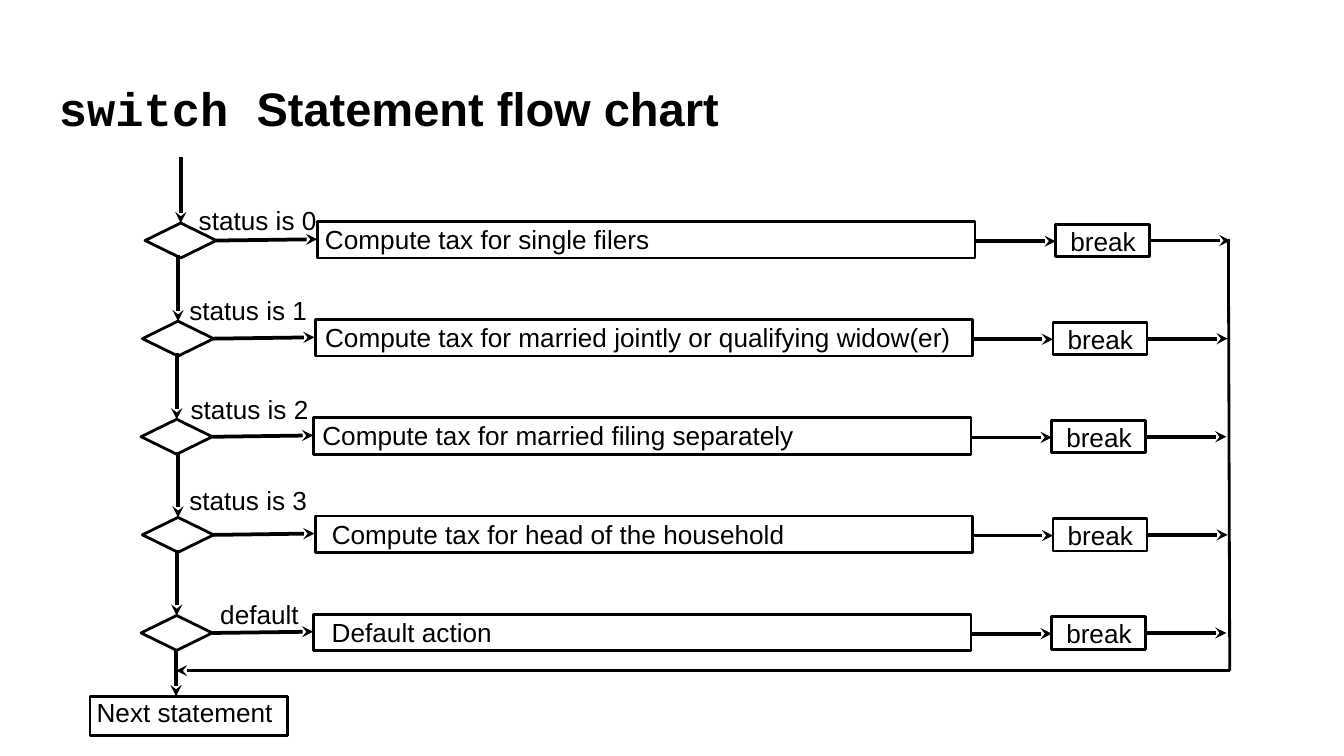
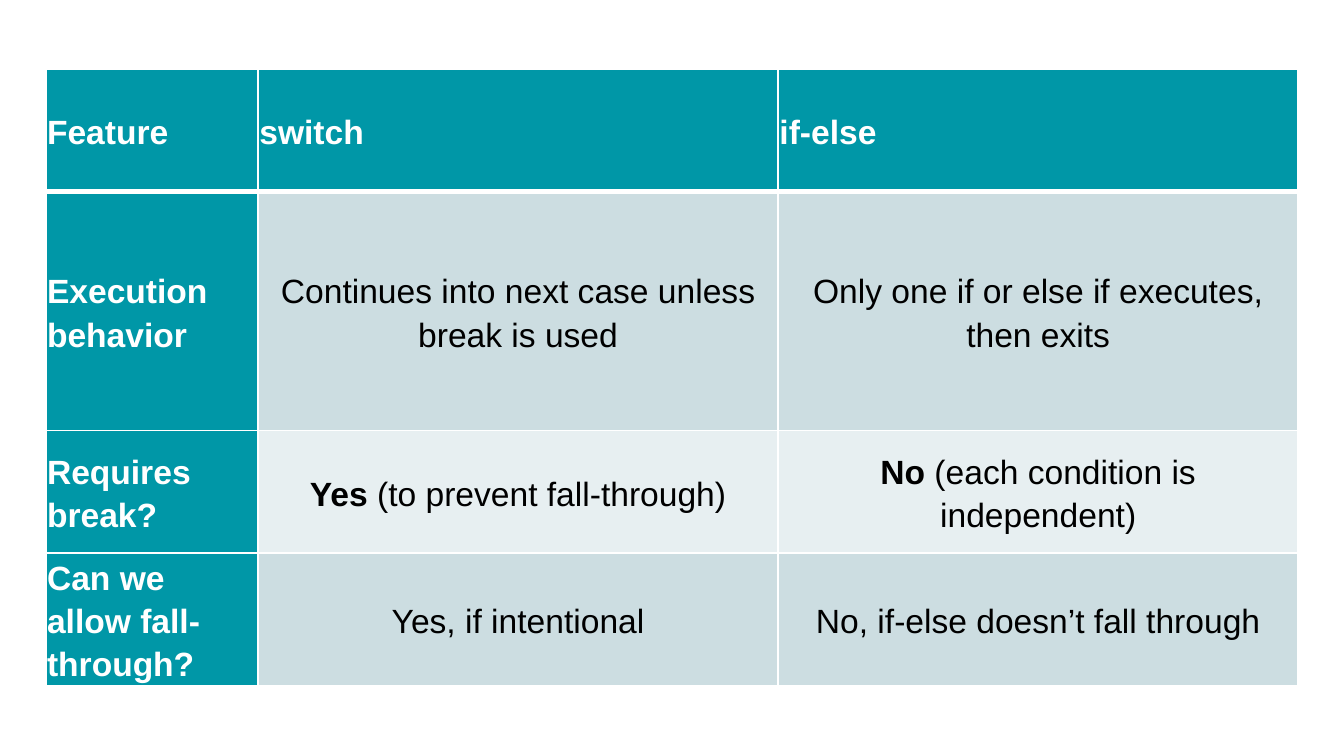
from dataclasses import dataclass

from lxml.etree import SubElement
from pptx import Presentation
from pptx.dml.color import RGBColor
from pptx.enum.shapes import MSO_CONNECTOR as Link, MSO_SHAPE as Preset
from pptx.enum.text import MSO_ANCHOR as Anchor, MSO_AUTO_SIZE as AutoSize, PP_ALIGN as Align
from pptx.oxml.ns import qn
from pptx.util import Inches, Pt

SLIDE_W = Inches(10)
SLIDE_H = SLIDE_W * 9 // 16
COL, ROW = SLIDE_W / 100, SLIDE_H / 56.25

COLORS = {
    "ink": "000000",
    "paper": "FFFFFF",
    "teal": "0097A7",
    "band_dark": "CCDDE1",
    "band_light": "E7EFF1",
}
SANS, MONO = "Arial", "Courier New"


@dataclass
class Box:
    """An area of the slide, in grid columns and rows."""
    col: float
    row: float
    cols: float
    rows: float

    def inner(self, col, row, cols=0, rows=0):
        return Box(self.col + col, self.row + row, cols, rows)

    def point(self, col, row):
        return round((self.col + col) * COL), round((self.row + row) * ROW)

    def frame(self):
        return (*self.point(0, 0), round(self.cols * COL), round(self.rows * ROW))


@dataclass
class Branch:
    """One case of the switch; label and action columns count from its left edge."""
    left: float
    label: str
    label_at: tuple
    label_cols: float
    action: str
    action_col: float
    action_cols: float


BRANCHES = [
    Branch(4.8, "status is 0", (3.0, -1.9), 10.8,
           "Compute tax for single filers", 12.4, 26.3),
    Branch(4.6, "status is 1", (2.5, -2.45), 10.8,
           "Compute tax for married jointly or qualifying widow(er)", 12.6, 48.8),
    Branch(4.5, "status is 2", (2.7, -2.45), 10.8,
           "Compute tax for married filing separately", 12.5, 37.3),
    Branch(4.6, "status is 3", (2.5, -2.95), 10.8,
           "Compute tax for head of the household", 13.1, 35.8),
    Branch(4.5, "default", (4.9, -1.75), 7.9,
           "Default action", 13.2, 14.0),
]
FIRST_BRANCH, BRANCH_PITCH = 5.6, 7.3

FEATURES = [
    ["Feature", "switch", "if-else"],
    ["Execution behavior",
     "Continues into next case unless break is used",
     "Only one if or else if executes, then exits"],
    ["Requires break?",
     [("Yes", {"bold": True}), (" (to prevent fall-through)", {})],
     [("No", {"bold": True}), (" (each condition is independent)", {})]],
    ["Can we allow fall-through?",
     "Yes, if intentional",
     "No, if-else doesn’t fall through"],
]
FEATURE_COLS = [15.8, 38.7, 38.7]
FEATURE_ROWS = [9.1, 17.8, 9.1, 9.1]


def rgb(name):
    return RGBColor.from_string(COLORS[name])


def write(text_frame, text, *, size=14, font=SANS, color="ink", bold=False,
          align=Align.LEFT, spacing=None, after=None):
    """Fill one paragraph; text is a string or (string, overrides) runs."""
    paragraph = text_frame.paragraphs[0]
    paragraph.alignment = align
    if spacing:
        paragraph.line_spacing = spacing
    if after:
        paragraph.space_after = Pt(after)
    for words, changes in [(text, {})] if isinstance(text, str) else text:
        style = {"font": font, "color": color, "bold": bold, **changes}
        run = paragraph.add_run()
        run.text = words
        run.font.size = Pt(size)
        run.font.name = style["font"]
        run.font.bold = style["bold"]
        run.font.color.rgb = rgb(style["color"])


def add_label(slide, box, text):
    text_frame = slide.shapes.add_textbox(*box.frame()).text_frame
    text_frame.word_wrap = False
    text_frame.auto_size = AutoSize.SHAPE_TO_FIT_TEXT
    write(text_frame, text)


def add_outline(slide, box, preset=Preset.FLOWCHART_PROCESS):
    outline = slide.shapes.add_shape(preset, *box.frame())
    outline.shadow.inherit = False
    outline.fill.background()
    outline.line.color.rgb = rgb("ink")
    outline.line.width = Pt(1.5)


def add_flow(slide, area, start, end, width=2, arrow=True):
    flow = slide.shapes.add_connector(
        Link.STRAIGHT, *area.point(*start), *area.point(*end))
    flow.line.color.rgb = rgb("ink")
    flow.line.width = Pt(width)
    if arrow:
        SubElement(flow.line._get_or_add_ln(), qn("a:tailEnd"), type="stealth")
    SubElement(flow._element.spPr, qn("a:effectLst"))


def add_title(slide, box, text):
    text_frame = slide.shapes.add_textbox(*box.frame()).text_frame
    text_frame.word_wrap = True
    text_frame.vertical_anchor = Anchor.MIDDLE
    text_frame.margin_top = text_frame.margin_bottom = Inches(0.1)
    write(text_frame, text, size=25.2, bold=True)


def add_branch(slide, area, branch):
    add_outline(slide, area.inner(0, 0, 5.3, 2.6), Preset.FLOWCHART_DECISION)
    add_outline(slide, area.inner(12.85, -0.1, 48.9, 2.7))
    add_outline(slide, area.inner(67.75, 0.1, 7, 2.4))
    add_flow(slide, area, (2.65, -4.9), (2.65, 0))
    add_flow(slide, area, (5.3, 1.3), (12.8, 1.2))
    add_flow(slide, area, (61.75, 1.35), (67.75, 1.35))
    add_flow(slide, area, (74.75, 1.3), (80.75, 1.3))
    add_label(slide, area.inner(*branch.label_at, branch.label_cols, 3.4), branch.label)
    add_label(slide, area.inner(branch.action_col, -0.45, branch.action_cols, 3.4),
              branch.action)
    add_label(slide, area.inner(67.85, -0.35, 6.9, 3.4), "break")


def add_flow_chart(slide, area):
    for index, branch in enumerate(BRANCHES):
        top = FIRST_BRANCH + index * BRANCH_PITCH
        add_branch(slide, area.inner(branch.left, top), branch)
    rail_top, rail_end, merge = (85.4, 6.8), (85.5, 38.9), (7.1, 38.9)
    add_flow(slide, area, rail_top, rail_end, width=1.5, arrow=False)
    add_flow(slide, area, rail_end, merge)
    add_flow(slide, area, (7.1, 37.3), (7.1, 40.8))
    add_outline(slide, area.inner(0.7, 40.8, 14.7, 2.9))
    add_label(slide, area.inner(0.2, 40.3, 15.2, 3.4), "Next statement")


def add_borders(cell, **widths):
    properties = cell._tc.get_or_add_tcPr()
    for side in "LRTB":
        width = Pt(widths.get(side, 1))
        border = SubElement(properties, qn(f"a:ln{side}"), w=str(width))
        fill = SubElement(border, qn("a:solidFill"))
        SubElement(fill, qn("a:srgbClr"), val=COLORS["paper"])


def fill_cell(cell, text, row, column):
    heading = row == 0 or column == 0
    add_borders(cell, **{0: {"B": 3}, 1: {"T": 3}}.get(row, {}))
    band = "band_dark" if row % 2 else "band_light"
    cell.fill.solid()
    cell.fill.fore_color.rgb = rgb("teal" if heading else band)
    cell.vertical_anchor = Anchor.MIDDLE
    cell.margin_left = cell.margin_right = Inches(0.01)
    cell.margin_top = cell.margin_bottom = Inches(0.01)
    write(cell.text_frame, text, size=18, bold=heading,
          color="paper" if heading else "ink",
          align=Align.LEFT if heading else Align.CENTER, spacing=1.15, after=8)


def add_feature_table(slide, box):
    table = slide.shapes.add_table(
        len(FEATURE_ROWS), len(FEATURE_COLS), *box.frame()).table
    table.first_row = table.horz_banding = False
    for column, cols in zip(table.columns, FEATURE_COLS):
        column.width = round(cols * COL)
    for row, rows in zip(table.rows, FEATURE_ROWS):
        row.height = round(rows * ROW)
    for row, features in enumerate(FEATURES):
        for column, text in enumerate(features):
            fill_cell(table.cell(row, column), text, row, column)


def add_slide(deck):
    slide = deck.slides.add_slide(deck.slide_layouts[6])
    slide.background.fill.solid()
    slide.background.fill.fore_color.rgb = rgb("paper")
    return slide


def main():
    deck = Presentation()
    deck.slide_width, deck.slide_height = SLIDE_W, SLIDE_H

    flow_slide = add_slide(deck)
    add_title(flow_slide, Box(3.4, 4.85, 93.2, 6.3),
              [("switch ", {"font": MONO}), ("Statement flow chart", {})])
    add_flow_chart(flow_slide, Box(6, 11, 86, 44))

    add_feature_table(add_slide(deck), Box(3.4, 5.15, 93.2, 45.1))
    deck.save("out.pptx")


if __name__ == "__main__":
    main()
